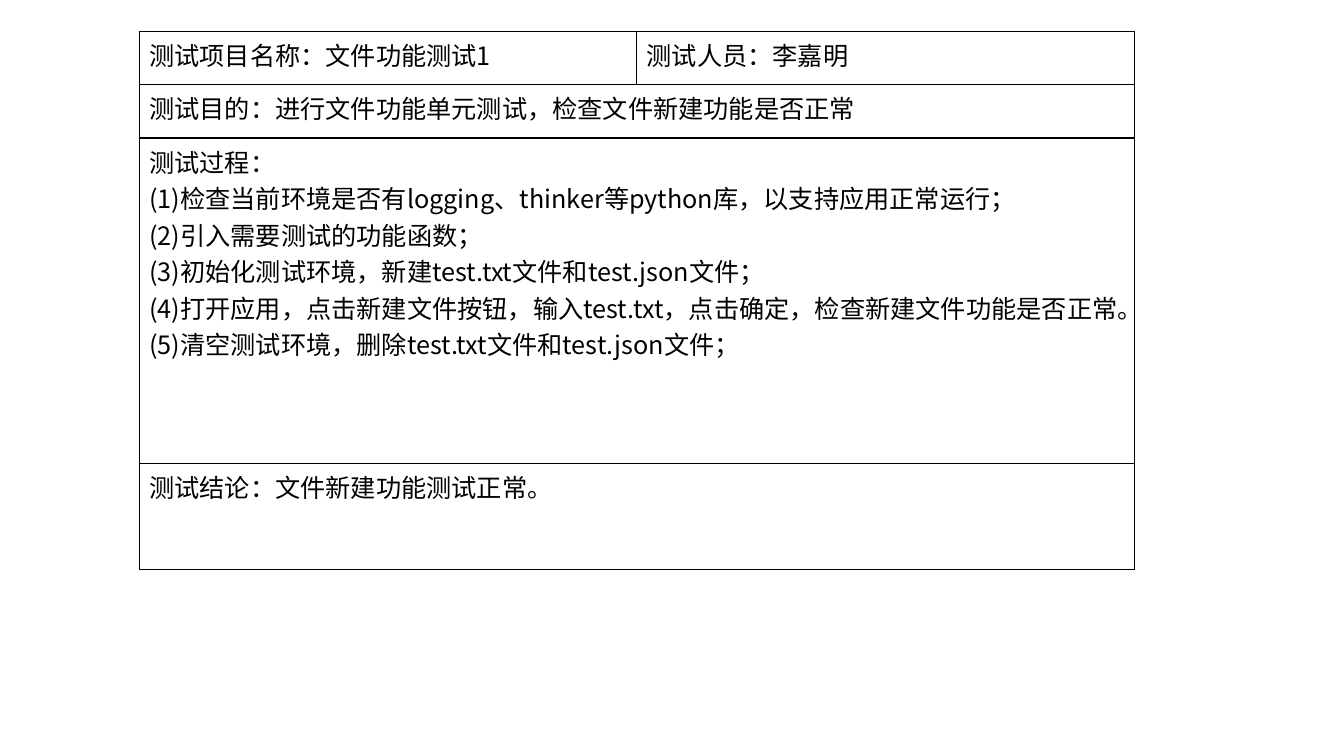
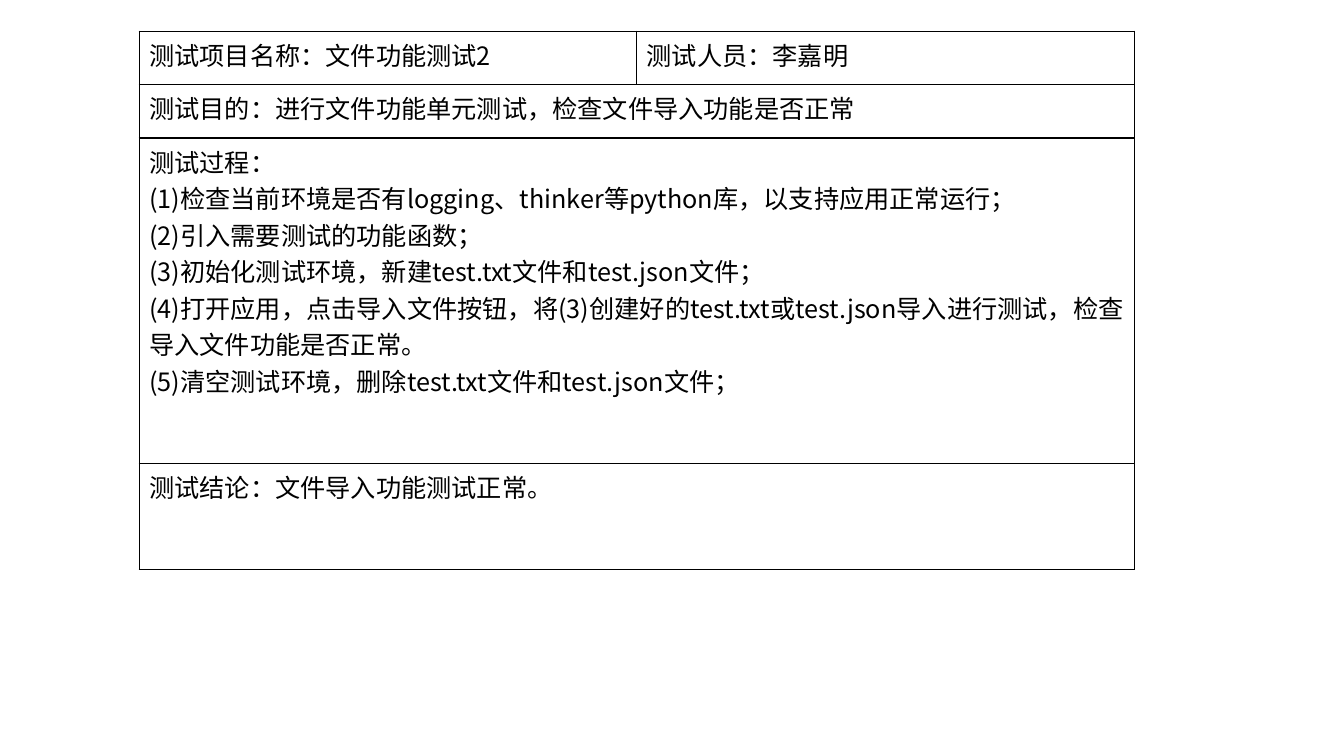
from lxml.etree import SubElement
from pptx import Presentation
from pptx.dml.color import RGBColor
from pptx.oxml.ns import qn
from pptx.util import Inches, Pt

FONT, INK = "Noto Sans CJK SC", "000000"
LEFT, TOP, WIDTH = 1.38, 0.31, 9.87
ROWS = [0.53, 0.53, 3.23, 1.05]
TESTER = "李嘉明"

# (number, function under test, step 4)
TESTS = [
    (1, "新建", "打开应用，点击新建文件按钮，输入test.txt，点击确定，检查新建文件功能是否正常。"),
    (2, "导入", "打开应用，点击导入文件按钮，将(3)创建好的test.txt或test.json导入进行测试，"
                "检查导入文件功能是否正常。"),
]
BEFORE = [
    "检查当前环境是否有logging、thinker等python库，以支持应用正常运行；",
    "引入需要测试的功能函数；",
    "初始化测试环境，新建test.txt文件和test.json文件；",
]
AFTER = ["清空测试环境，删除test.txt文件和test.json文件；"]


def color(text):
    """Turn a hex string into a colour."""
    return RGBColor.from_string(text)


def report(number, task, action):
    """Return the rows of one test report, each a list of cell texts."""
    steps = [f"({i}){step}" for i, step in enumerate(BEFORE + [action] + AFTER, 1)]
    return [
        [f"测试项目名称：文件功能测试{number}", f"测试人员：{TESTER}"],
        [f"测试目的：进行文件功能单元测试，检查文件{task}功能是否正常"],
        ["\n".join(["测试过程："] + steps)],
        [f"测试结论：文件{task}功能测试正常。"],
    ]


def frame(cell):
    """Give a cell thin lines on all sides and no fill."""
    props = cell._tc.get_or_add_tcPr()
    for side in ("a:lnL", "a:lnR", "a:lnT", "a:lnB"):
        line = SubElement(props, qn(side), w=str(Pt(1)))
        fill = SubElement(line, qn("a:solidFill"))
        SubElement(fill, qn("a:srgbClr"), val=INK)
    cell.fill.background()


def write(cell, text):
    """Put text in a cell, one paragraph a line."""
    cell.text = text
    for para in cell.text_frame.paragraphs:
        font = para.font
        font.size, font.name = Pt(18), FONT
        font.color.rgb = color(INK)
        SubElement(font._element, qn("a:ea"), typeface=FONT)


def draw(slide, rows):
    """Draw a report table; a row with one text spans both columns."""
    table = slide.shapes.add_table(
        len(rows), 2, Inches(LEFT), Inches(TOP), Inches(WIDTH), Inches(sum(ROWS))).table
    table.first_row = table.horz_banding = False
    for cell in table.iter_cells():
        frame(cell)
    for r, (texts, height) in enumerate(zip(rows, ROWS)):
        table.rows[r].height = Inches(height)
        if len(texts) == 1:
            table.cell(r, 0).merge(table.cell(r, 1))
        for c, text in enumerate(texts):
            write(table.cell(r, c), text)


deck = Presentation()
deck.slide_width, deck.slide_height = Inches(13.33), Inches(7.5)
for test in TESTS:
    draw(deck.slides.add_slide(deck.slide_layouts[6]), report(*test))
deck.save("out.pptx")
